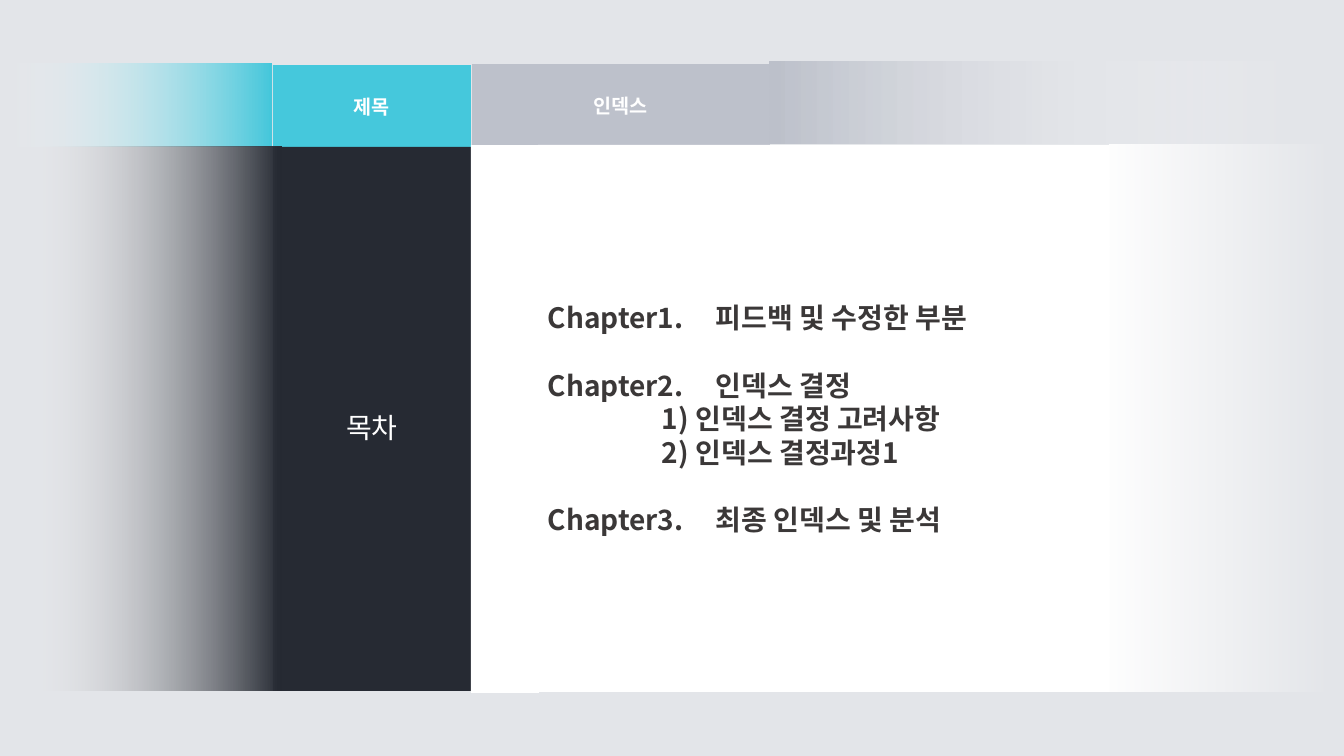
import lxml.etree
import pptx
import pptx.dml.color
import pptx.enum.shapes
import pptx.enum.text
import pptx.oxml.ns
import pptx.util

EMU_PER_PX = 914400 / 100.8
FONT = "Noto Sans CJK KR"
COLORS = {
    "background": "E3E5E9",
    "teal": "45C8DC",
    "dark": "262A33",
    "grey": "BDC1CB",
    "white": "FFFFFF",
    "text": "3B3838",
}
CHAPTER_TAB = 168
SECTION_INDENT = 114
CHAPTERS = [
    ("Chapter1.", "피드백 및 수정한 부분", []),
    ("Chapter2.", "인덱스 결정", ["1) 인덱스 결정 고려사항", "2) 인덱스 결정과정1"]),
    ("Chapter3.", "최종 인덱스 및 분석", []),
]
ALIGN = pptx.enum.text.PP_ALIGN


def px(length):
    return pptx.util.Emu(round(length * EMU_PER_PX))


def rgb(name):
    return pptx.dml.color.RGBColor.from_string(COLORS[name])


def add_xml(parent, tag, **attributes):
    return lxml.etree.SubElement(parent, pptx.oxml.ns.qn(tag), attributes)


def add_block(slide, box, color):
    shape = slide.shapes.add_shape(
        pptx.enum.shapes.MSO_SHAPE.RECTANGLE, *map(px, box))
    shape.shadow.inherit = False
    shape.line.fill.background()
    shape.fill.solid()
    shape.fill.fore_color.rgb = rgb(color)
    return shape


def add_fade(slide, box, color, angle):
    """Add a block that fades from its colour to transparent white."""
    shape = add_block(slide, box, color)
    shape.fill.gradient()
    shape.fill.gradient_angle = angle
    for stop, name in zip(shape.fill.gradient_stops, (color, "white")):
        stop.color.rgb = rgb(name)
    end_color = shape.element.spPr.findall(".//" + pptx.oxml.ns.qn("a:srgbClr"))[-1]
    add_xml(end_color, "a:alpha", val="0")


def write_text(paragraph, text, size=20, color="white", bold=False,
               align=ALIGN.CENTER, line_spacing=None, space_before=0):
    paragraph.alignment = align
    paragraph.line_spacing = line_spacing
    paragraph.space_before = pptx.util.Pt(space_before)
    run = paragraph.add_run()
    run.text = text
    run.font.name = FONT
    run.font.size = pptx.util.Pt(size)
    run.font.bold = bold
    run.font.color.rgb = rgb(color)
    add_xml(run.font._element, "a:ea", typeface=FONT)


def add_label(slide, box, color, text, **text_format):
    shape = add_block(slide, box, color)
    shape.text_frame.vertical_anchor = pptx.enum.text.MSO_ANCHOR.MIDDLE
    write_text(shape.text_frame.paragraphs[0], text, **text_format)


def add_chapter_list(slide, box):
    frame = add_block(slide, box, "white").text_frame
    frame.vertical_anchor = pptx.enum.text.MSO_ANCHOR.MIDDLE
    style = {"color": "text", "bold": True, "align": ALIGN.JUSTIFY}
    for index, (chapter, title, sections) in enumerate(CHAPTERS):
        paragraph = frame.add_paragraph() if index else frame.paragraphs[0]
        write_text(paragraph, f"{chapter}\t{title}",
                   space_before=24 if index else 0, **style)
        tabs = add_xml(paragraph._p.get_or_add_pPr(), "a:tabLst")
        add_xml(tabs, "a:tab", pos=str(px(CHAPTER_TAB)), algn="l")
        for section in sections:
            paragraph = frame.add_paragraph()
            write_text(paragraph, section, **style)
            paragraph._p.get_or_add_pPr().set("marL", str(px(SECTION_INDENT)))


def add_tab_row(slide, left, top, height):
    add_label(slide, (left, top + 1, 198, height), "teal", "제목", size=14, bold=True)
    add_label(slide, (left + 199, top, 298, height), "grey", "인덱스", size=14, bold=True)


def add_contents(slide, left, top, height):
    add_label(slide, (left, top + 2, 198, height - 3), "dark", "목차", line_spacing=1.5)
    add_chapter_list(slide, (left + 265, top, 572, height))


def add_fades(slide, left, tab_top, body_top, height):
    """Add the soft outer ends of the tab row and of the contents."""
    add_fade(slide, (left + 837, body_top, 222, height), "white", 0)
    add_fade(slide, (left + 496, tab_top - 2, 530, 82), "grey", 0)
    add_fade(slide, (left - 269, tab_top, 268, 83), "teal", 180)
    add_fade(slide, (left - 260, body_top + 2, 268, height - 3), "dark", 180)


def build_contents_slide(presentation):
    slide = presentation.slides.add_slide(presentation.slide_layouts[6])
    slide.background.fill.solid()
    slide.background.fill.fore_color.rgb = rgb("background")
    left, tab_top, body_top, body_height = 273, 64, 145, 547
    add_tab_row(slide, left, tab_top, 83)
    add_contents(slide, left, body_top, body_height)
    add_fades(slide, left, tab_top, body_top, body_height)
    add_block(slide, (left + 198, body_top, 68, body_height + 1), "white")


def main():
    presentation = pptx.Presentation()
    presentation.slide_width = px(1344)
    presentation.slide_height = px(756)
    build_contents_slide(presentation)
    presentation.save("out.pptx")


if __name__ == "__main__":
    main()
